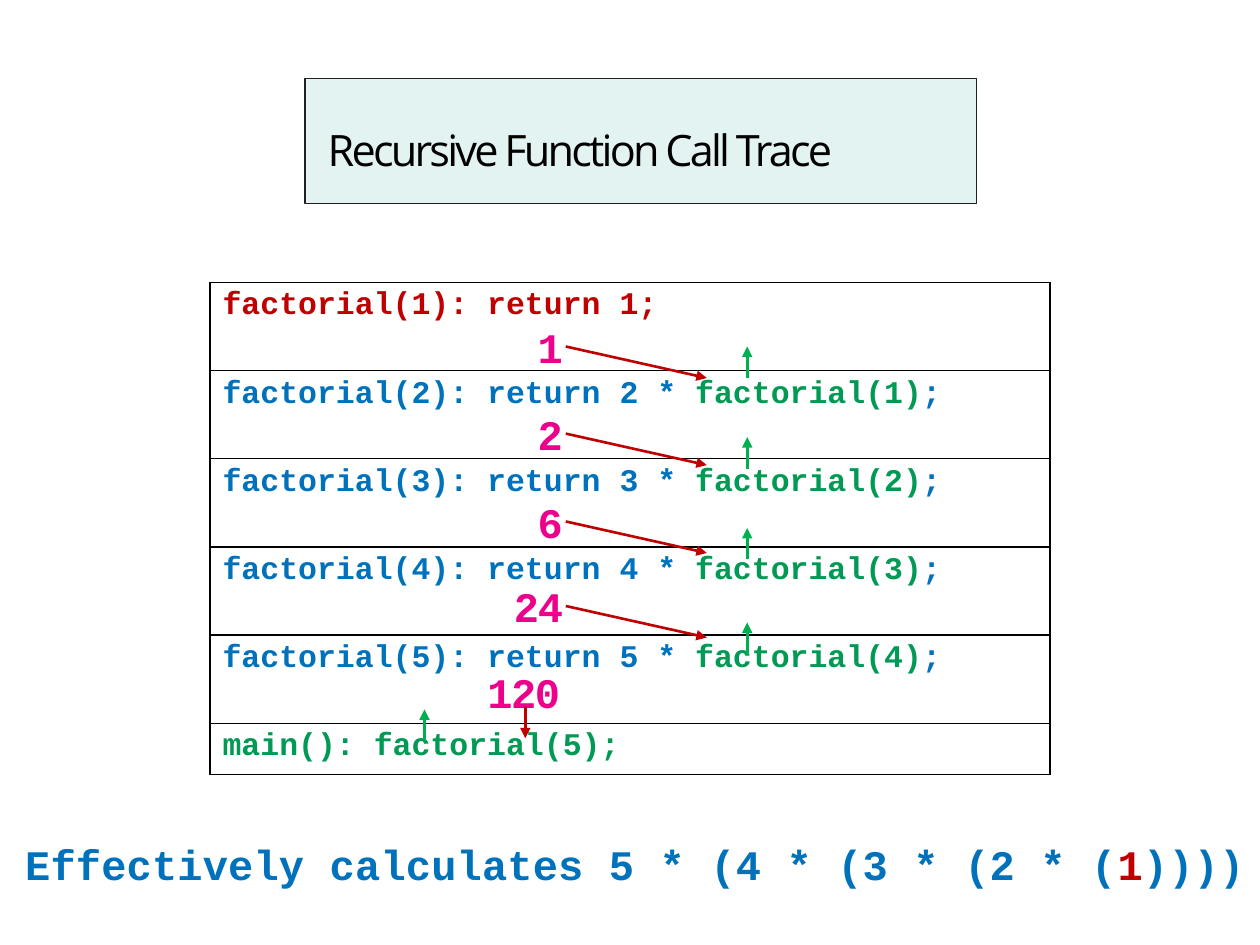
from lxml import etree
from pptx import Presentation
from pptx.dml.color import RGBColor
from pptx.enum.shapes import MSO_CONNECTOR
from pptx.enum.text import MSO_ANCHOR, MSO_AUTO_SIZE, PP_ALIGN
from pptx.oxml import parse_xml
from pptx.oxml.ns import nsdecls, qn
from pptx.util import Pt

STRAIGHT = MSO_CONNECTOR.STRAIGHT
MIDDLE = MSO_ANCHOR.MIDDLE
GROW = MSO_AUTO_SIZE.SHAPE_TO_FIT_TEXT
LEFT = PP_ALIGN.LEFT

CODE_FONT = "Courier New"
BLUE, GREEN, RED = "0072BC", "009A55", "C00000"
PINK, ARROW_GREEN, BLACK = "EC008C", "00B050", "000000"

RETURNS = [("1", 300.2, 180, 22.3), ("2", 300.2, 229.8, 22.3),
           ("6", 300.2, 280, 22.3), ("24", 286.6, 328.3, 42.5),
           ("120", 271.4, 377.3, 57.6)]
CALL_TOPS = [198, 249.8, 301.7, 355.7]
ARROW_HEIGHT = 18


def color(value):
    return RGBColor.from_string(value)


def set_margins(frame, left, top, right, bottom):
    frame.margin_left, frame.margin_top = Pt(left), Pt(top)
    frame.margin_right, frame.margin_bottom = Pt(right), Pt(bottom)


def format_span(span, size, value, font=CODE_FONT, bold=True, spacing=0):
    span.font.name = font
    span.font.size = Pt(size)
    span.font.bold = bold
    span.font.color.rgb = color(value)
    if spacing:
        span.font._element.set("spc", str(round(spacing * 100)))


def add_spans(para, parts, size, spacing=0):
    for text, value in parts:
        span = para.add_run()
        span.text = text
        format_span(span, size, value, spacing=spacing)


def set_title(page):
    title = page.shapes.title
    title.left, title.top, title.width, title.height = Pt(174.2), Pt(64), Pt(383.8), Pt(33.2)
    title.fill.solid()
    title.fill.fore_color.rgb = color("E3F3F1")
    title.line.color.rgb = color("231F20")
    title.line.width = Pt(1)
    frame = title.text_frame
    frame.text = "Recursive Function Call Trace"
    frame.vertical_anchor = MIDDLE
    frame.word_wrap = True
    frame.auto_size = GROW
    set_margins(frame, 13, 12, 0, 6.6)
    para = frame.paragraphs[0]
    para.alignment = LEFT
    para.line_spacing = Pt(34)
    format_span(para.runs[0], 24.7, BLACK, "Open Sans", False, -1.6)


def add_borders(cell):
    properties = cell._tc.get_or_add_tcPr()
    for index, side in enumerate(("lnL", "lnR", "lnT", "lnB")):
        border = parse_xml(
            f'<a:{side} {nsdecls("a")} w="{Pt(1)}"><a:solidFill>'
            f'<a:srgbClr val="{BLACK}"/></a:solidFill></a:{side}>')
        properties.insert(index, border)


def add_call_stack(page):
    rows = [[("factorial(1): return 1;", RED)]]
    for n in range(2, 6):
        rows.append([(f"factorial({n}): return {n} * ", BLUE),
                     (f"factorial({n - 1})", GREEN), (";", BLUE)])
    rows.append([("main(): factorial(5);", GREEN)])
    heights = [50.4] * 5 + [29.2]
    table = page.shapes.add_table(len(rows), 1, Pt(120), Pt(161.3),
                                  Pt(480), Pt(sum(heights))).table
    table.first_row = False
    table.horz_banding = False
    for index, (parts, height) in enumerate(zip(rows, heights)):
        table.rows[index].height = Pt(height)
        cell = table.cell(index, 0)
        cell.fill.background()
        add_borders(cell)
        add_spans(cell.text_frame.paragraphs[0], parts, 18)


def add_text(page, left, top, width, height, parts, spacing):
    box = page.shapes.add_textbox(Pt(left), Pt(top), Pt(width), Pt(height))
    frame = box.text_frame
    frame.word_wrap = True
    frame.auto_size = GROW
    add_spans(frame.paragraphs[0], parts, 24, spacing)
    return frame


def add_arrow(page, start, end, value, arrow_end):
    arrow = page.shapes.add_connector(STRAIGHT, *map(Pt, start + end))
    arrow.line.color.rgb = color(value)
    arrow.line.width = Pt(1.5)
    line = arrow.line._get_or_add_ln()
    etree.SubElement(line, qn(f"a:{arrow_end}")).set("type", "triangle")
    etree.SubElement(arrow._element.spPr, qn("a:effectLst"))


def add_return_arrow(page, left, top, right):
    add_arrow(page, (left, top), (right, top + ARROW_HEIGHT), RED, "tailEnd")


def add_call_arrow(page, left, top):
    add_arrow(page, (left, top), (left, top + ARROW_HEIGHT), ARROW_GREEN, "headEnd")


def add_summary(page):
    parts = [("Effectively calculates 5 * (4 * (3 * (2 * (", BLUE),
             ("1", RED), ("))))", BLUE)]
    frame = add_text(page, 13.7, 475.9, 699.8, 31.7, parts, 0.1)
    set_margins(frame, 0.7, 0.7, 0, 0)
    para = frame.paragraphs[0]
    para.line_spacing = 1.09
    para.space_before = Pt(0.8)


def main():
    deck = Presentation()
    deck.slide_width, deck.slide_height = Pt(720), Pt(540)
    page = deck.slides.add_slide(deck.slide_layouts[5])
    set_title(page)
    add_call_stack(page)
    for value, left, top, width in RETURNS:
        add_text(page, left, top, width, 36, [(value, PINK)], -0.8)
    for _, _, top, _ in RETURNS[:-1]:
        add_return_arrow(page, 323.3, top + 18, 403.9)
    add_return_arrow(page, 300.2, 403.9, 300.2)
    add_call_arrow(page, 242.6, 405.4)
    for top in CALL_TOPS:
        add_call_arrow(page, 427, top)
    add_summary(page)
    deck.save("out.pptx")


if __name__ == "__main__":
    main()
